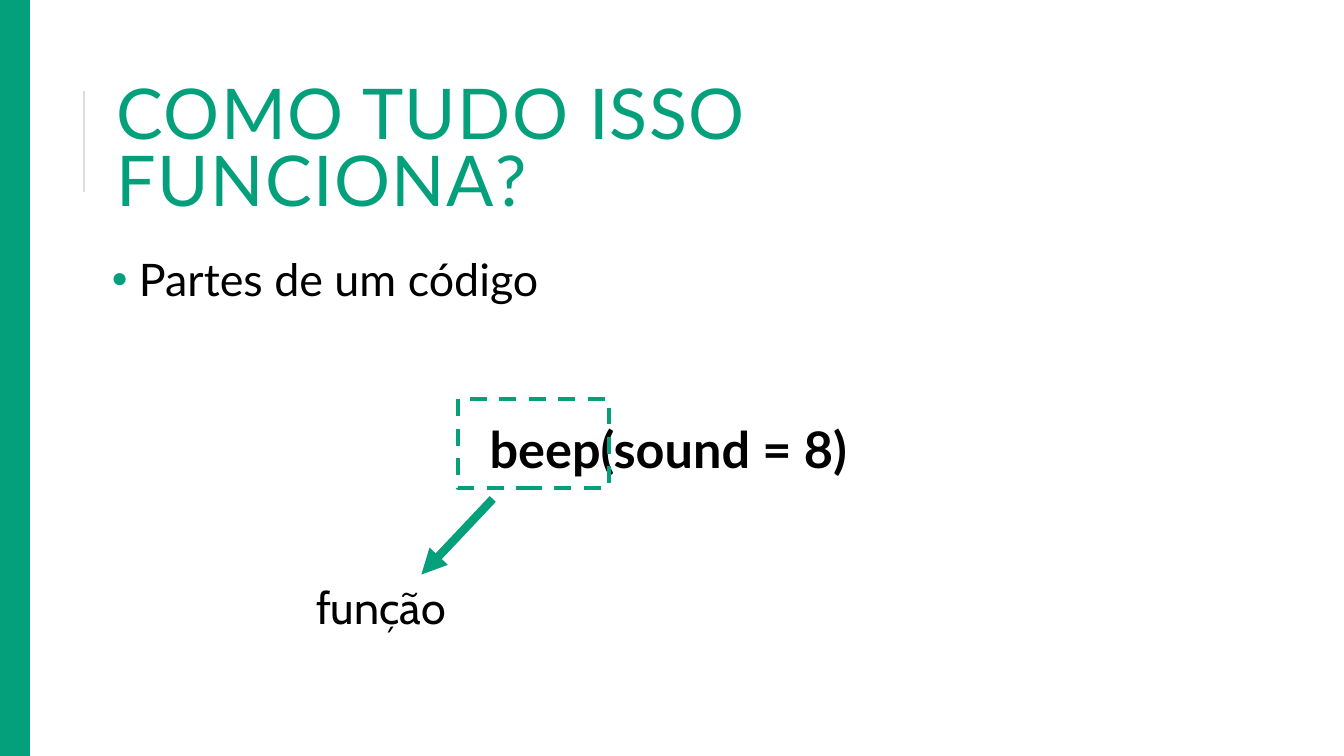
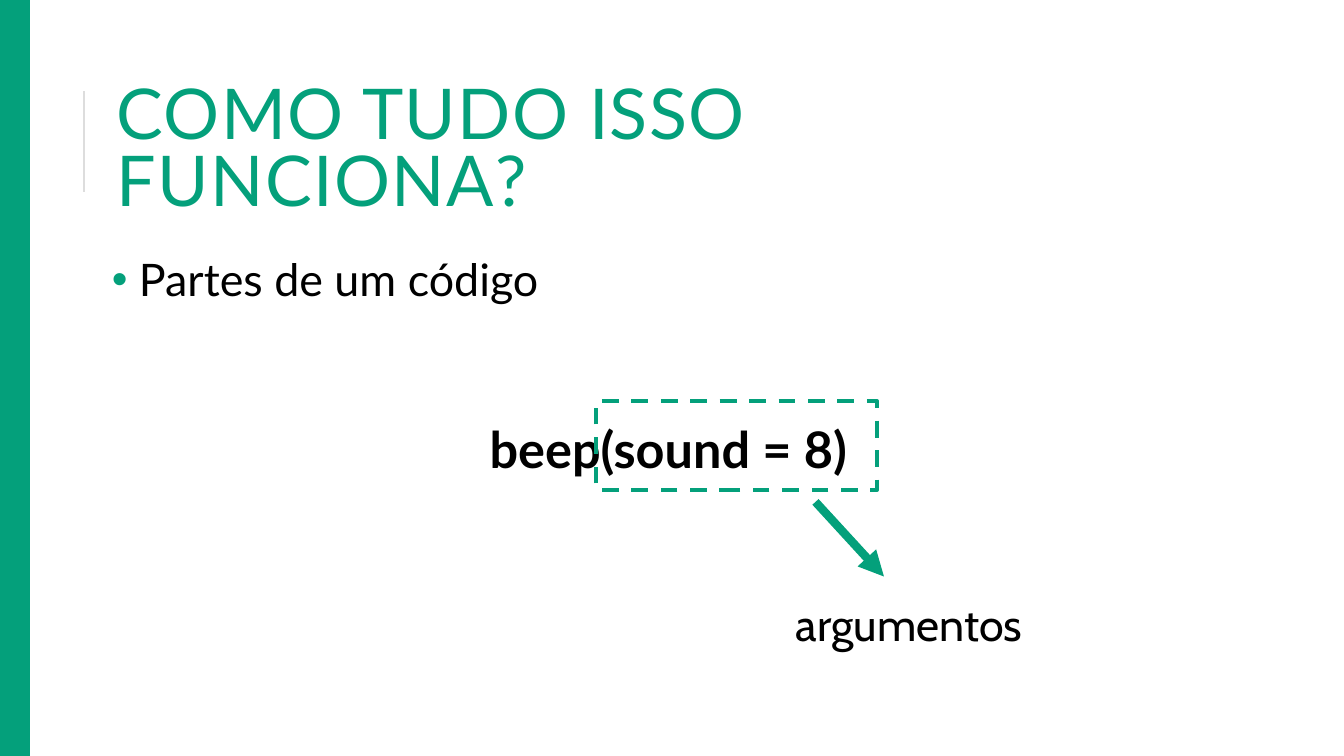
from lxml import etree
from pptx import Presentation
from pptx.dml.color import RGBColor
from pptx.enum.dml import MSO_LINE_DASH_STYLE as DASH
from pptx.enum.shapes import MSO_CONNECTOR, MSO_SHAPE
from pptx.enum.text import MSO_ANCHOR as ANCHOR, PP_ALIGN as ALIGN
from pptx.oxml.ns import qn
from pptx.util import Pt

GREEN = RGBColor(0x04, 0xA0, 0x7B)
GRAY = RGBColor(0xDD, 0xDD, 0xDD)
BLACK = RGBColor(0, 0, 0)
WIDTH, HEIGHT = 960, 540
LEFT = 76.3


def points(*values):
    return [Pt(v) for v in values]


def add_text(s, box, text, size, font="Lato", color=BLACK, bold=False, align=ALIGN.LEFT,
             anchor=ANCHOR.TOP, line_spacing=1.0, before=0, after=0, tracking=0, inset=None):
    tf = s.shapes.add_textbox(*points(*box)).text_frame
    tf.word_wrap = True
    tf.vertical_anchor = anchor
    if inset is not None:
        tf.margin_left = tf.margin_right = tf.margin_top = tf.margin_bottom = Pt(inset)
    p = tf.paragraphs[0]
    p.alignment = align
    p.line_spacing = line_spacing
    p.space_before, p.space_after = Pt(before), Pt(after)
    r = p.add_run()
    r.text = text
    r.font.name, r.font.size, r.font.bold = font, Pt(size), bold
    r.font.color.rgb = color
    if tracking:
        r._r.get_or_add_rPr().set("spc", str(tracking * 100))
    return p


def add_bullet(p, indent):
    pPr = p._p.get_or_add_pPr()
    pPr.set("marL", str(Pt(indent)))
    pPr.set("indent", str(-Pt(indent)))
    color = etree.SubElement(pPr, qn("a:buClr"))
    etree.SubElement(color, qn("a:srgbClr"), val=str(GREEN))
    etree.SubElement(pPr, qn("a:buFont"), typeface="Arial")
    etree.SubElement(pPr, qn("a:buChar"), char="•")


def add_rect(s, box, line_width, fill=None, dash=None):
    sp = s.shapes.add_shape(MSO_SHAPE.RECTANGLE, *points(*box))
    sp.shadow.inherit = False
    if fill is None:
        sp.fill.background()
    else:
        sp.fill.solid()
        sp.fill.fore_color.rgb = fill
    sp.line.color.rgb = GREEN
    sp.line.width = Pt(line_width)
    if dash:
        sp.line.dash_style = dash


def add_line(s, start, end, color, width, arrow=False):
    line = s.shapes.add_connector(MSO_CONNECTOR.STRAIGHT, *points(*start, *end))
    line.line.color.rgb = color
    line.line.width = Pt(width)
    if arrow:
        etree.SubElement(line.line._get_or_add_ln(), qn("a:tailEnd"), type="triangle")
    etree.SubElement(line._element.spPr, qn("a:effectLst"))


def add_frame(s, title, topic):
    """Side band, title with its rule, and the bulleted topic."""
    add_line(s, (60, 137), (60, 65), GRAY, 1.5)
    add_text(s, (LEFT, 50.4, 750, 118), title, 50, color=GREEN, anchor=ANCHOR.MIDDLE,
             line_spacing=0.8, tracking=1)
    p = add_text(s, (LEFT, 168.5, 803, 194.4), topic, 32, line_spacing=1.2,
                 before=12, after=2, inset=3.6)
    add_bullet(p, 7.2)
    add_rect(s, (0, 0, 21, HEIGHT), 1.25, fill=GREEN)


def add_code_part(s, code, label, label_box, highlight, arrow):
    """Line of code with one part outlined and an arrow to its label."""
    add_text(s, (271.4, 286.6, 412, 54.7), code, 36, bold=True, align=ALIGN.CENTER,
             line_spacing=1.2)
    add_text(s, label_box, label, 32, font="Cabin", align=ALIGN.CENTER)
    add_line(s, *arrow, GREEN, 6, arrow=True)
    add_rect(s, highlight, 3, dash=DASH.DASH)


PARTS = [
    dict(label="função", label_box=(211, 410.4, 122.4, 46),
         highlight=(326.9, 285.1, 108, 63.4), arrow=((352, 356.4), (301, 410.4))),
    dict(label="argumentos", label_box=(558, 422.6, 183, 46),
         highlight=(425.5, 286.6, 200.9, 63.4), arrow=((582.5, 358.5), (631.4, 411.8))),
]


def main():
    prs = Presentation()
    prs.slide_width, prs.slide_height = points(WIDTH, HEIGHT)
    for part in PARTS:
        s = prs.slides.add_slide(prs.slide_layouts[6])
        add_frame(s, "COMO TUDO ISSO FUNCIONA?", " Partes de um código")
        add_code_part(s, "beep(sound = 8)", **part)
    prs.save("out.pptx")


if __name__ == "__main__":
    main()
